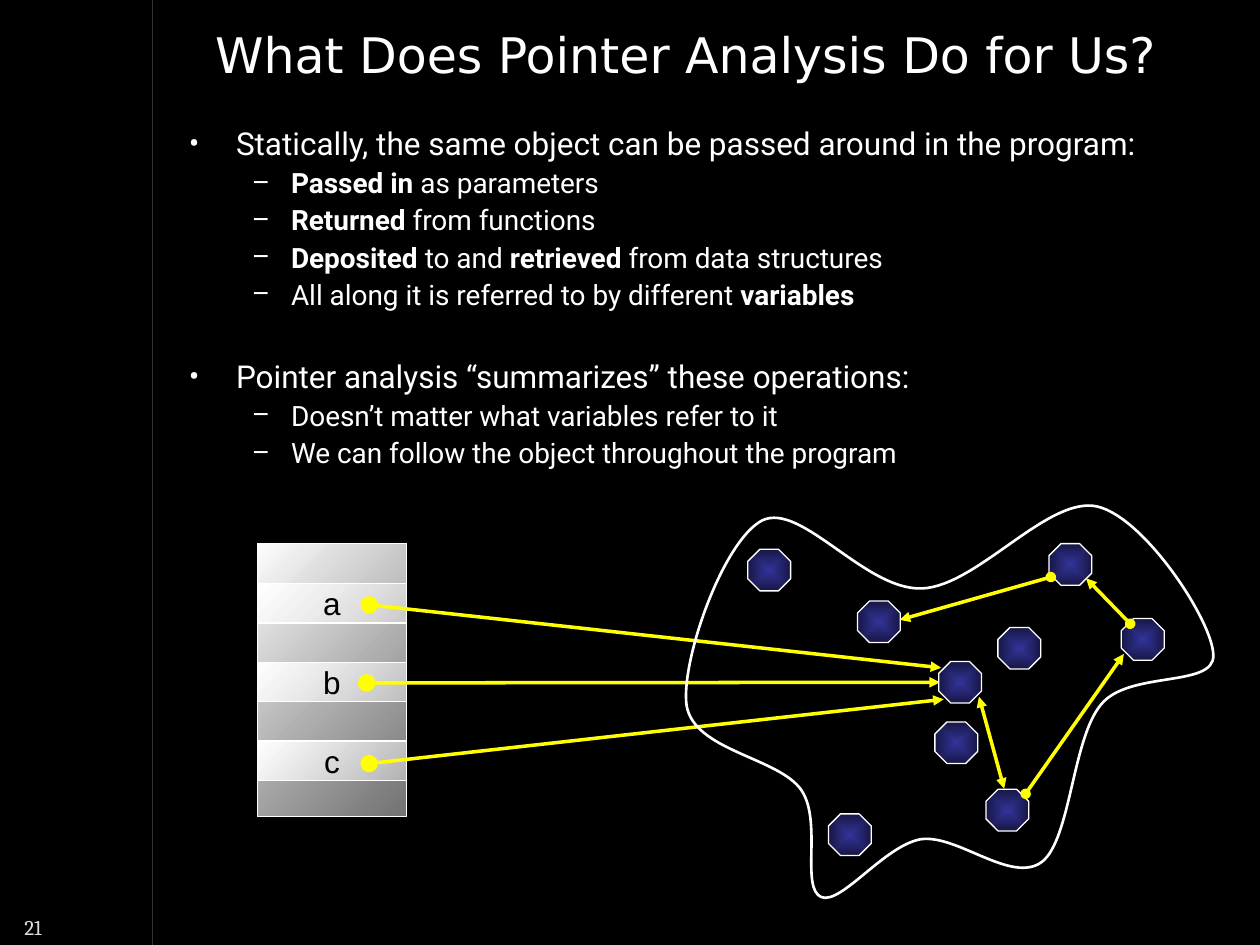
from dataclasses import dataclass
from math import cos, radians, sin
from typing import NamedTuple

from pptx import Presentation
from pptx.dml.color import RGBColor as Rgb
from pptx.enum.shapes import MSO_CONNECTOR as Link, MSO_SHAPE as Form
from pptx.enum.text import MSO_ANCHOR as Anchor, PP_ALIGN as Align
from pptx.oxml import parse_xml
from pptx.oxml.ns import nsdecls
from pptx.util import Inches, Pt


@dataclass(frozen=True)
class Theme:
    back: str = "000000"
    ink: str = "FFFFFF"
    dark: str = "000000"
    rule: str = "333333"
    page: str = "DDDDDD"
    arrow: str = "FFFF00"
    steel: str = "E6E6E6"
    core: str = "333399"
    rim: str = "171746"
    head: str = "DejaVu Sans"
    body: str = "Roboto"
    label: str = "Arial"
    foot: str = "Cambria"
    title: int = 28
    large: int = 18
    small: int = 16
    tiny: int = 12
    thin: float = 0.75
    curve: float = 1.5
    thick: float = 2


class Box(NamedTuple):
    col: float
    row: float
    wide: float
    high: float


class Point(NamedTuple):
    col: float
    row: float


class Arrow(NamedTuple):
    start: Point
    end: Point
    head: str
    tail: str
    oval: str = "med"


class Level(NamedTuple):
    mark: str
    left: float
    hang: float
    size: int
    gap: float


class Item(NamedTuple):
    level: Level
    runs: tuple[str, ...]
    bold: int = -1
    gap: float = 0


T = Theme()
COLS, ROWS = 100, 75
TOP = Level("•", 3.75, 3.75, T.large, 4.5)
SUB = Level("–", 8.12, 3.12, T.small, 4)
ITEMS = [
    Item(TOP, ("Statically, the same object can be passed around in the program:",)),
    Item(SUB, ("Passed in", " as parameters"), 0),
    Item(SUB, ("Returned", " from functions"), 0),
    Item(SUB, ("Deposited", " to and ", "retrieved", " from data structures"), 0),
    Item(SUB, ("All along it is referred to by different ", "variables"), 1),
    Item(TOP, ("Pointer analysis “summarizes” these operations:",), gap=28.5),
    Item(SUB, ("Doesn’t matter what variables refer to it",)),
    Item(SUB, ("We can follow the object throughout the program",)),
]
STACK = Box(20.43, 43.13, 11.83, 21.67)
SLOT, PITCH, HIGH = 46.33, 6.24, 3.12
NODES = [(74.5, 52.5), (68.05, 47.7), (65.75, 64.6), (78.25, 62.65), (59.35, 43.6),
         (79.2, 49.8), (89, 49.1), (83.25, 43.15), (74.2, 57.3)]
REFS = [
    Arrow(Point(74.7, 53), Point(29.3, 48), "triangle", "oval", "lg"),
    Arrow(Point(74.6, 54.15), Point(29.1, 54.2), "triangle", "oval", "lg"),
    Arrow(Point(74.9, 55.5), Point(29.3, 60.6), "triangle", "oval", "lg"),
]
HOPS = [
    Arrow(Point(77.7, 55.3), Point(79.7, 62.6), "triangle", "triangle"),
    Arrow(Point(81.4, 63), Point(89.2, 51.9), "oval", "triangle"),
    Arrow(Point(89.7, 49.5), Point(86.2, 45.9), "oval", "triangle"),
    Arrow(Point(83.4, 45.8), Point(71.4, 49.2), "oval", "triangle"),
]
AREA, TURN = Box(53.9, 34.1, 40.1, 36.2), 317.8
HEAP = [
    (73.1, 66.6), (76, 66.2), (80.3, 70.2), (82.7, 68.4), (85, 66.6), (85.1, 58.6),
    (87.4, 55.9), (89.6, 53.2), (96.4, 54.6), (96.3, 52), (96.3, 49.4), (90.9, 41.1),
    (87.1, 40.2), (83.2, 39.3), (77.6, 46.5), (73.2, 46.7), (68.7, 46.9), (63.6, 39.8),
    (60.5, 41.3), (57.4, 42.9), (54, 52.5), (54.5, 56), (55.1, 59.6), (61.8, 60.1),
    (63.6, 62.7), (65.3, 65.2), (63.5, 70.5), (65.2, 71.2), (66.8, 71.8), (70.2, 67.1),
    (73.1, 66.6),
]

deck = Presentation()
deck.slide_width, deck.slide_height = Inches(10), Inches(7.5)
slide = deck.slides.add_slide(deck.slide_layouts[6])
slide.background.fill.solid()
slide.background.fill.fore_color.rgb = Rgb.from_string(T.back)
shapes = slide.shapes


def span(cells: float) -> int:
    return round(deck.slide_width * cells / COLS)


def place(box: tuple) -> list[int]:
    return [span(cells) for cells in box]


def node(tag: str, attrs: str = "", inner: str = ""):
    return parse_xml(f"<a:{tag} {nsdecls('a')} {attrs}>{inner}</a:{tag}>")


def stroke(line, color: str, width: float) -> None:
    line.color.rgb = Rgb.from_string(color)
    line.width = Pt(width)


def write(para, text: str, font: str, size: int, color: str, bold: bool = False) -> None:
    run = para.add_run()
    run.text = text
    run.font.name, run.font.size, run.font.bold = font, Pt(size), bold
    run.font.color.rgb = Rgb.from_string(color)


def frame(box: Box, anchor: Anchor = Anchor.TOP):
    text = shapes.add_textbox(*place(box)).text_frame
    text.word_wrap, text.vertical_anchor = True, anchor
    return text


def line(start: Point, end: Point, color: str, width: float):
    link = shapes.add_connector(Link.STRAIGHT, *place(start + end))
    stroke(link.line, color, width)
    link._element.spPr.append(node("effectLst"))
    return link


def draw(arrow: Arrow) -> None:
    link = line(arrow.start, arrow.end, T.arrow, T.thick)
    pen = link.line._get_or_add_ln()
    for tag, kind in (("headEnd", arrow.head), ("tailEnd", arrow.tail)):
        size = arrow.oval if kind == "oval" else "med"
        pen.append(node(tag, f'type="{kind}" w="{size}" len="{size}"'))


def block(form: Form, box: Box, first: str, last: str, alpha: int, way: str):
    shape = shapes.add_shape(form, *place(box))
    stops = (f'<a:gsLst><a:gs pos="0"><a:srgbClr val="{first}"><a:alpha val="{alpha * 1000}"/>'
             f'</a:srgbClr></a:gs><a:gs pos="100000"><a:srgbClr val="{last}"/></a:gs></a:gsLst>')
    shape._element.spPr.insert(2, node("gradFill", 'rotWithShape="1"', stops + way))
    stroke(shape.line, T.ink, T.thin)
    shape.shadow.inherit = False
    return shape


def slab(box: Box, name: str = "") -> None:
    shape = block(Form.RECTANGLE, box, T.steel, T.ink, 50, '<a:lin ang="13500000" scaled="0"/>')
    if name:
        text = shape.text_frame
        text.word_wrap, text.vertical_anchor = False, Anchor.MIDDLE
        text.paragraphs[0].alignment = Align.CENTER
        write(text.paragraphs[0], name, T.label, T.large, T.dark)


def item(para, entry: Item) -> None:
    level = entry.level
    para.line_spacing, para.space_before = 0.9, Pt(entry.gap or level.gap)
    props = para._p.get_or_add_pPr()
    props.set("marL", str(span(level.left)))
    props.set("indent", str(-span(level.hang)))
    props.append(node("buClr", inner=f'<a:srgbClr val="{T.ink}"/>'))
    props.append(node("buFont", f'typeface="{T.body}"'))
    props.append(node("buChar", f'char="{level.mark}"'))
    for spot, text in enumerate(entry.runs):
        bold = entry.bold >= 0 and spot % 2 == entry.bold
        write(para, text, T.body, level.size, T.ink, bold)


def blob(box: Box, turn: float, knots: list[tuple]) -> None:
    left, top, wide, high = place(box)
    pen = shapes.build_freeform(left, top)
    pen.add_line_segments([(left + wide, top), (left + wide, top + high)])
    shape = pen.convert_to_shape()
    c, s = cos(radians(turn)), sin(radians(turn))
    dots = []
    for col, row in knots:
        x, y = col - box.col - box.wide / 2, row - box.row - box.high / 2
        x, y = span(x * c + y * s + box.wide / 2), span(y * c - x * s + box.high / 2)
        dots.append(f'<a:pt x="{x}" y="{y}"/>')
    outline = shape._element.xpath(".//a:path")[0]
    outline[:] = [node("moveTo", inner=dots[0])]
    for at in range(1, len(dots), 3):
        outline.append(node("cubicBezTo", inner="".join(dots[at:at + 3])))
    outline.append(node("close"))
    shape.rotation = turn
    shape.fill.background()
    stroke(shape.line, T.ink, T.curve)
    shape.shadow.inherit = False


line(Point(12.1, 0), Point(12.1, ROWS), T.rule, T.thin)
title = frame(Box(13.85, 1.4, 81.1, 5.7), Anchor.MIDDLE).paragraphs[0]
title.alignment = Align.CENTER
write(title, "What Does Pointer Analysis Do for Us?", T.head, T.title, T.ink)

body = frame(Box(14, 9.7, 81, 32.5))
for spot, entry in enumerate(ITEMS):
    item(body.add_paragraph() if spot else body.paragraphs[0], entry)

slab(STACK)
for spot, name in enumerate("abc"):
    slab(Box(STACK.col, SLOT + spot * PITCH, STACK.wide, HIGH), name)
for arrow in REFS:
    draw(arrow)

blob(AREA, TURN, HEAP)
MID = '<a:path path="rect"><a:fillToRect l="50000" t="50000" r="50000" b="50000"/></a:path>'
for col, row in NODES:
    cell = block(Form.OCTAGON, Box(col, row, 3.4, 3.3), T.core, T.rim, 100, MID)
    cell.adjustments[0] = 0.29
for arrow in HOPS:
    draw(arrow)

page = frame(Box(0, 72.1, 4.3, 2.9)).paragraphs[0]
page.alignment = Align.RIGHT
write(page, "21", T.foot, T.tiny, T.page)

deck.save("out.pptx")
